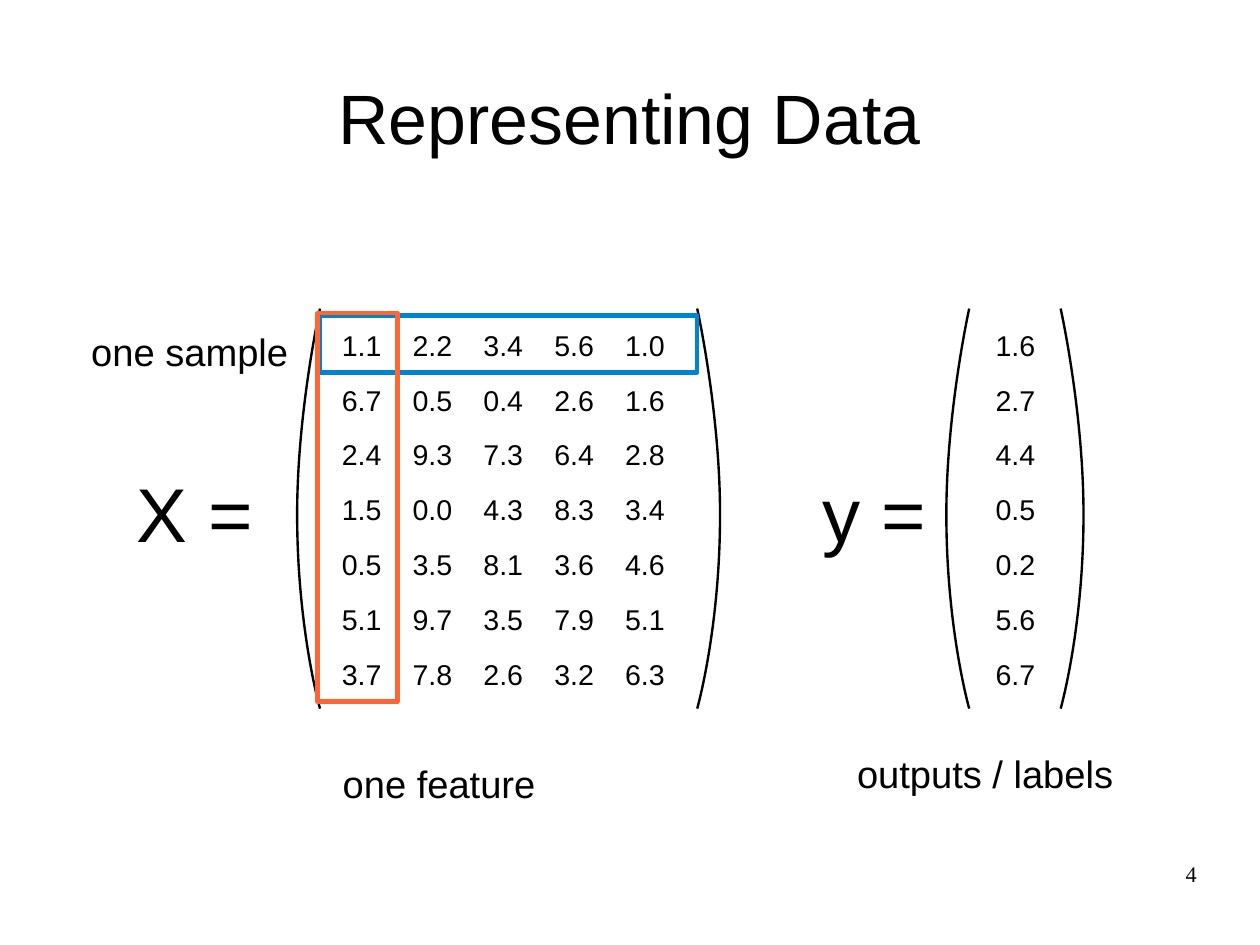
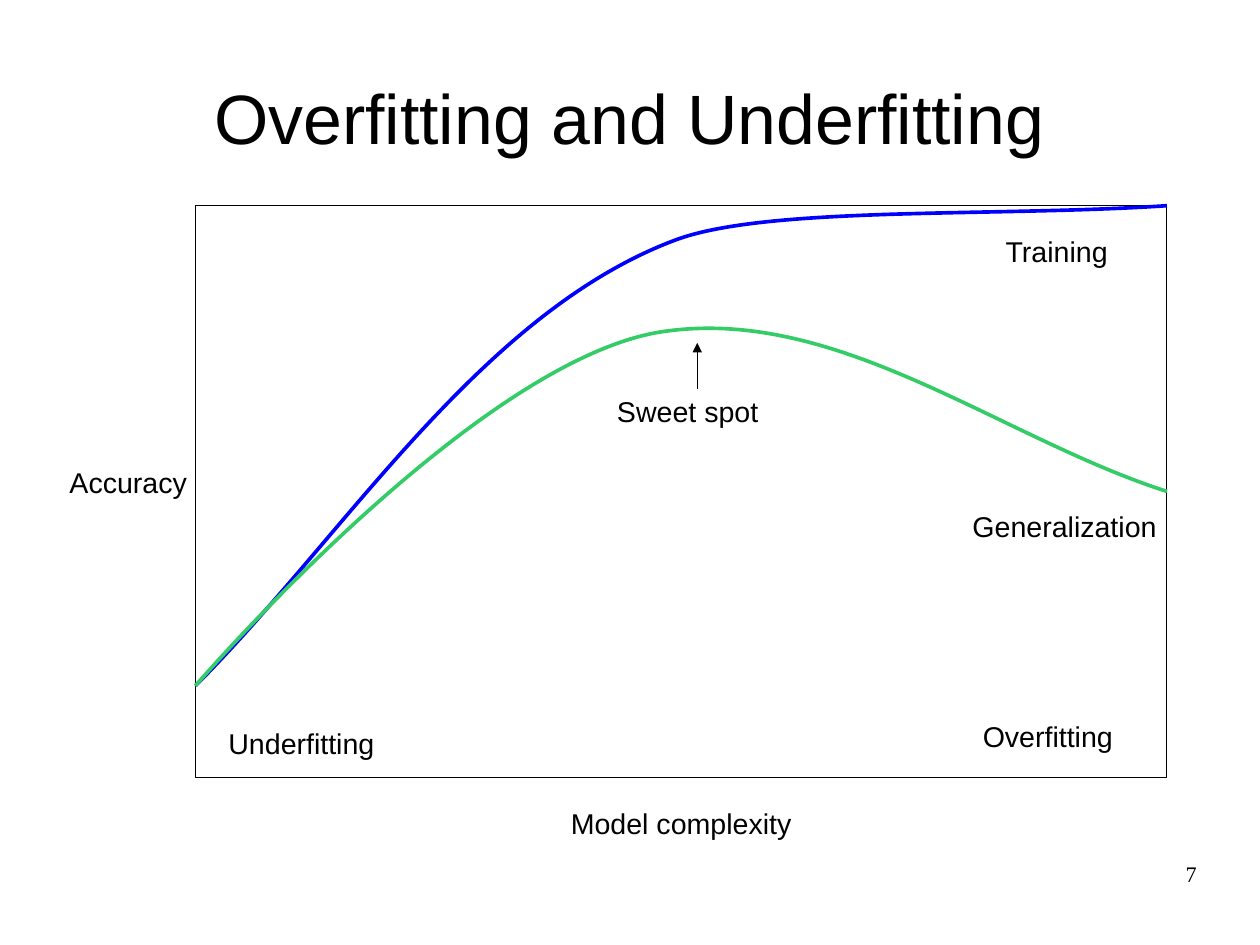
"""Builds two slides on data representation and model fit."""
from lxml.etree import SubElement
from pptx import Presentation
from pptx.dml.color import RGBColor
from pptx.enum.shapes import MSO_CONNECTOR as CONN, MSO_SHAPE as SHAPE
from pptx.enum.text import MSO_ANCHOR as ANCHOR, PP_ALIGN as ALIGN
from pptx.oxml.ns import qn
from pptx.util import Cm, Inches, Pt

COLORS = {
    "ink": "000000",
    "paper": "FFFFFF",
    "sample": "0084D1",
    "feature": "FF6633",
    "training": "0000FF",
    "generalization": "33CC66",
}
FEATURES = [
    "1.1 2.2 3.4 5.6 1.0",
    "6.7 0.5 0.4 2.6 1.6",
    "2.4 9.3 7.3 6.4 2.8",
    "1.5 0.0 4.3 8.3 3.4",
    "0.5 3.5 8.1 3.6 4.6",
    "5.1 9.7 3.5 7.9 5.1",
    "3.7 7.8 2.6 3.2 6.3",
]
LABELS = ["1.6", "2.7", "4.4", "0.5", "0.2", "5.6", "6.7"]


def rgb(name):
    return RGBColor.from_string(COLORS[name])


def write(tf, text, size=18, font="Arial", align=ALIGN.LEFT):
    p = tf.paragraphs[0]
    p.alignment = align
    r = p.add_run()
    r.text = text
    r.font.size = Pt(size)
    r.font.name = font
    r.font.color.rgb = rgb("ink")


class Deck:
    def __init__(self):
        self.prs = Presentation()
        self.prs.slide_width = Cm(28)
        self.prs.slide_height = Cm(21)
        self.shapes = None

    def slide(self, title, number):
        s = self.prs.slides.add_slide(self.prs.slide_layouts[6])
        self.shapes = s.shapes
        self.text(title, 0.55, 0.33, 9.92, 1.38, inset=False,
                  anchor=ANCHOR.MIDDLE, size=44, align=ALIGN.CENTER)
        self.text(str(number), 7.9, 7.53, 2.57, 0.57, inset=False,
                  size=14, font="Times New Roman", align=ALIGN.RIGHT)

    def text(self, text, x, y, w, h=0.38, inset=True, anchor=ANCHOR.TOP, **fmt):
        sp = self.shapes.add_textbox(Inches(x), Inches(y), Inches(w), Inches(h))
        tf = sp.text_frame
        tf.word_wrap = True
        tf.vertical_anchor = anchor
        if not inset:
            tf.margin_left = tf.margin_right = tf.margin_top = tf.margin_bottom = 0
        write(tf, text, **fmt)

    def outline(self, sp, color, width):
        sp.shadow.inherit = False
        sp.fill.background()
        sp.line.color.rgb = rgb(color)
        sp.line.width = Pt(width)

    def frame(self, x, y, w, h, color="ink", width=0):
        sp = self.shapes.add_shape(SHAPE.RECTANGLE, Inches(x), Inches(y),
                                   Inches(w), Inches(h))
        self.outline(sp, color, width)

    def curve(self, points, color="ink", width=1.5):
        start, *rest = [(Inches(x), Inches(y)) for x, y in points]
        fb = self.shapes.build_freeform(*start)
        fb.add_line_segments(rest, close=False)
        sp = fb.convert_to_shape()
        outline = next(sp.element.iter(qn("a:path")))
        segments = outline.findall(qn("a:lnTo"))
        for i in range(0, len(segments), 3):
            bezier = SubElement(outline, qn("a:cubicBezTo"))
            for segment in segments[i:i + 3]:
                bezier.append(segment[0])
                outline.remove(segment)
        self.outline(sp, color, width)

    def paren(self, x, bulge):
        top, middle, bottom = 2.7, 4.5, 6.2
        self.curve([(x, top), (x, top), (x + bulge, 3.6), (x + bulge, middle),
                    (x + bulge, 5.5), (x, bottom), (x, bottom)])

    def matrix(self, rows, x, y, col=0.62, row=0.48):
        grid = [line.split() for line in rows]
        n, m = len(grid), len(grid[0])
        table = self.shapes.add_table(n, m, Inches(x), Inches(y),
                                      Inches(col * m), Inches(row * n)).table
        table.first_row = table.horz_banding = False
        for cell, value in zip(table.iter_cells(), sum(grid, [])):
            cell.fill.solid()
            cell.fill.fore_color.rgb = rgb("paper")
            write(cell.text_frame, value)

    def arrow(self, x1, y1, x2, y2):
        sp = self.shapes.add_connector(CONN.STRAIGHT, Inches(x1), Inches(y1),
                                       Inches(x2), Inches(y2))
        sp.line.color.rgb = rgb("ink")
        sp.line.width = Pt(0)
        sp.element.remove(sp.element.find(qn("p:style")))
        spPr = sp.element.spPr
        SubElement(spPr.find(qn("a:ln")), qn("a:tailEnd"), type="triangle")
        SubElement(spPr, qn("a:effectLst"))


def data_slide(deck):
    deck.slide("Representing Data", 4)
    for x, bulge in [(2.8, -0.2), (6.1, 0.2), (8.48, -0.2), (9.28, 0.2)]:
        deck.paren(x, bulge)
    for text, x in [("X =", 1.1), ("y =", 7.1)]:
        deck.text(text, x, 4.03, 1.4, 0.85, size=48)
    deck.matrix(FEATURES, 2.89, 2.84)
    deck.matrix(LABELS, 8.61, 2.84)
    for text, x, y, w in [("one sample", 0.7, 2.82, 2),
                          ("one feature", 2.9, 6.6, 3),
                          ("outputs / labels", 7.4, 6.52, 3.5)]:
        deck.text(text, x, y, w, 0.47, size=24)
    deck.frame(2.8, 2.76, 3.3, 0.5, "sample", 2.89)
    deck.frame(2.78, 2.74, 0.7, 3.4, "feature", 2.89)


def fit_slide(deck):
    deck.slide("Overfitting and Underfitting", 7)
    deck.frame(1.71, 1.8, 8.5, 5)
    deck.curve([(1.71, 6), (3.01, 4.7), (4.2, 2.74), (5.91, 2.1),
                (6.71, 1.8), (8.71, 1.9), (10.21, 1.8)], "training", 2.3)
    deck.curve([(1.71, 6), (1.71, 6), (4.18, 3.13), (5.81, 2.9),
                (7.34, 2.68), (8.75, 3.83), (10.21, 4.3)], "generalization", 2.3)
    deck.text("Model complexity", 4.31, 7, 3.3, align=ALIGN.CENTER)
    for text, x, y, w in [("Accuracy", 0.51, 4.02, 2.1),
                          ("Training", 8.7, 2, 1.4),
                          ("Generalization", 8.41, 4.4, 1.9),
                          ("Underfitting", 1.9, 6.3, 1.6),
                          ("Overfitting", 8.5, 6.24, 1.5),
                          ("Sweet spot", 5.3, 3.4, 1.8)]:
        deck.text(text, x, y, w)
    deck.arrow(6.1, 3.4, 6.1, 3)


def main():
    deck = Deck()
    data_slide(deck)
    fit_slide(deck)
    deck.prs.save("out.pptx")


if __name__ == "__main__":
    main()
